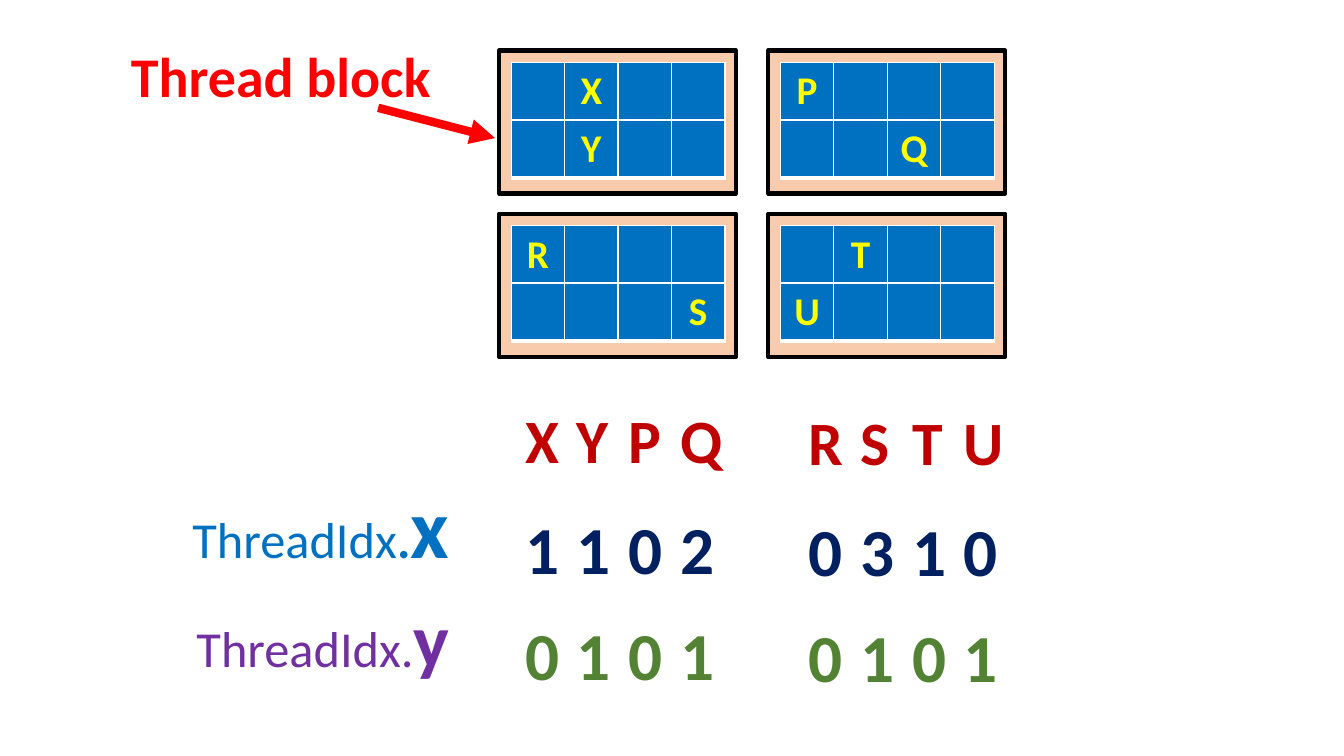
"""Build a slide that maps elements of four thread blocks to their thread indices."""
from lxml.etree import SubElement
from pptx import Presentation
from pptx.dml.color import RGBColor
from pptx.enum.shapes import MSO_CONNECTOR as Connector, MSO_SHAPE as Preset
from pptx.enum.text import MSO_ANCHOR as Anchor, PP_ALIGN as Align
from pptx.oxml.ns import qn
from pptx.util import Inches, Pt

COLORS = {
    "block": "F8CBAD", "frame": "000000", "cell": "0070C0", "grid": "FFFFFF",
    "element": "FFFF00", "name": "C00000", "x": "002060", "y": "548235",
    "x label": "0070C0", "y label": "7030A0", "callout": "FF0000",
}
FONT = "Calibri"


def style(run, size, color, bold=True):
    run.font.name, run.font.size, run.font.bold = FONT, Pt(size), bold
    run.font.color.rgb = RGBColor.from_string(COLORS[color])


def add_text(left, top, width, height, color, pieces):
    box = slide.shapes.add_textbox(*map(Inches, (left, top, width, height)))
    box.text_frame.word_wrap = True
    for words, size, bold in pieces:
        run = box.text_frame.paragraphs[0].add_run()
        run.text = words
        style(run, size, color, bold)


deck = Presentation()
deck.slide_width, deck.slide_height = Inches(13.33), Inches(7.5)
slide = deck.slides.add_slide(deck.slide_layouts[6])

BLOCK_LEFT, BLOCK_TOP, BLOCK_WIDTH, BLOCK_HEIGHT = 4.95, 0.5, 2.35, 1.42
BLOCK_STEP_X, BLOCK_STEP_Y, PADDING = 2.67, 1.62, 0.12
COLUMN, ROW, ROW_STEP = 0.53, 0.54, 0.57
BORDERS = {"a:lnL": 1, "a:lnR": 1, "a:lnT": 1, "a:lnB": 3}
thread_blocks = [
    [[" X  ", " Y  "], ["P   ", "  Q "]],
    [["R   ", "   S"], [" T  ", "U   "]],
]

for block_row, blocks in enumerate(thread_blocks):
    for block_column, threads in enumerate(blocks):
        left = BLOCK_LEFT + block_column * BLOCK_STEP_X
        top = BLOCK_TOP + block_row * BLOCK_STEP_Y
        block = slide.shapes.add_shape(
            Preset.RECTANGLE, *map(Inches, (left, top, BLOCK_WIDTH, BLOCK_HEIGHT)))
        block.shadow.inherit = False
        block.fill.solid()
        block.fill.fore_color.rgb = RGBColor.from_string(COLORS["block"])
        block.line.color.rgb = RGBColor.from_string(COLORS["frame"])
        block.line.width = Pt(3)

        for thread_row, elements in enumerate(threads):
            row_top = top + PADDING + thread_row * ROW_STEP
            threads_table = slide.shapes.add_table(
                1, len(elements), Inches(left + PADDING), Inches(row_top),
                Inches(COLUMN * len(elements)), Inches(ROW)).table
            threads_table.first_row = threads_table.horz_banding = False
            for column, element in enumerate(elements):
                cell = threads_table.cell(0, column)
                cell.vertical_anchor = Anchor.MIDDLE
                for side, width in BORDERS.items():
                    border = SubElement(cell._tc.get_or_add_tcPr(), qn(side), w=str(Pt(width)))
                    border_fill = SubElement(border, qn("a:solidFill"))
                    SubElement(border_fill, qn("a:srgbClr"), val=COLORS["grid"])
                cell.fill.solid()
                cell.fill.fore_color.rgb = RGBColor.from_string(COLORS["cell"])
                if element.strip():
                    cell.text = element
                    paragraph = cell.text_frame.paragraphs[0]
                    paragraph.alignment = Align.CENTER
                    style(paragraph.runs[0], 28, "element")

add_text(1.81, 4.66, 2.91, 1.11, "x label",
         [("ThreadIdx", 36, False), (".", 36, True), ("x", 60, True)])
add_text(1.85, 5.82, 2.91, 1.01, "y label",
         [("ThreadIdx.", 36, False), ("y", 54, True)])

index_rows = [
    ("name", 3.94, 0.84, 44, ["XYPQ", "RSTU"]),
    ("x", 4.98, 0.91, 48, ["1102", "0310"]),
    ("y", 6.04, 0.91, 48, ["0101", "0101"]),
]
GROUP_STARTS, INDEX_STEP, INDEX_WIDTH = [(5.11, 0), (7.92, 0.02)], 0.514, 0.35
for color, top, height, size, groups in index_rows:
    for (group_left, drop), group in zip(GROUP_STARTS, groups):
        for position, symbol in enumerate(group):
            add_text(group_left + position * INDEX_STEP, top + drop,
                     INDEX_WIDTH, height, color, [(symbol, size, True)])

add_text(1.2, 0.36, 3.29, 0.77, "callout", [("Thread block", 40, True)])
arrow = slide.shapes.add_connector(
    Connector.STRAIGHT, *map(Inches, (3.75, 1.07, 4.91, 1.37)))
arrow.line.color.rgb = RGBColor.from_string(COLORS["callout"])
arrow.line.width = Pt(6)
SubElement(arrow.line._get_or_add_ln(), qn("a:tailEnd"), type="triangle")
SubElement(arrow._element.spPr, qn("a:effectLst"))

deck.save("out.pptx")
